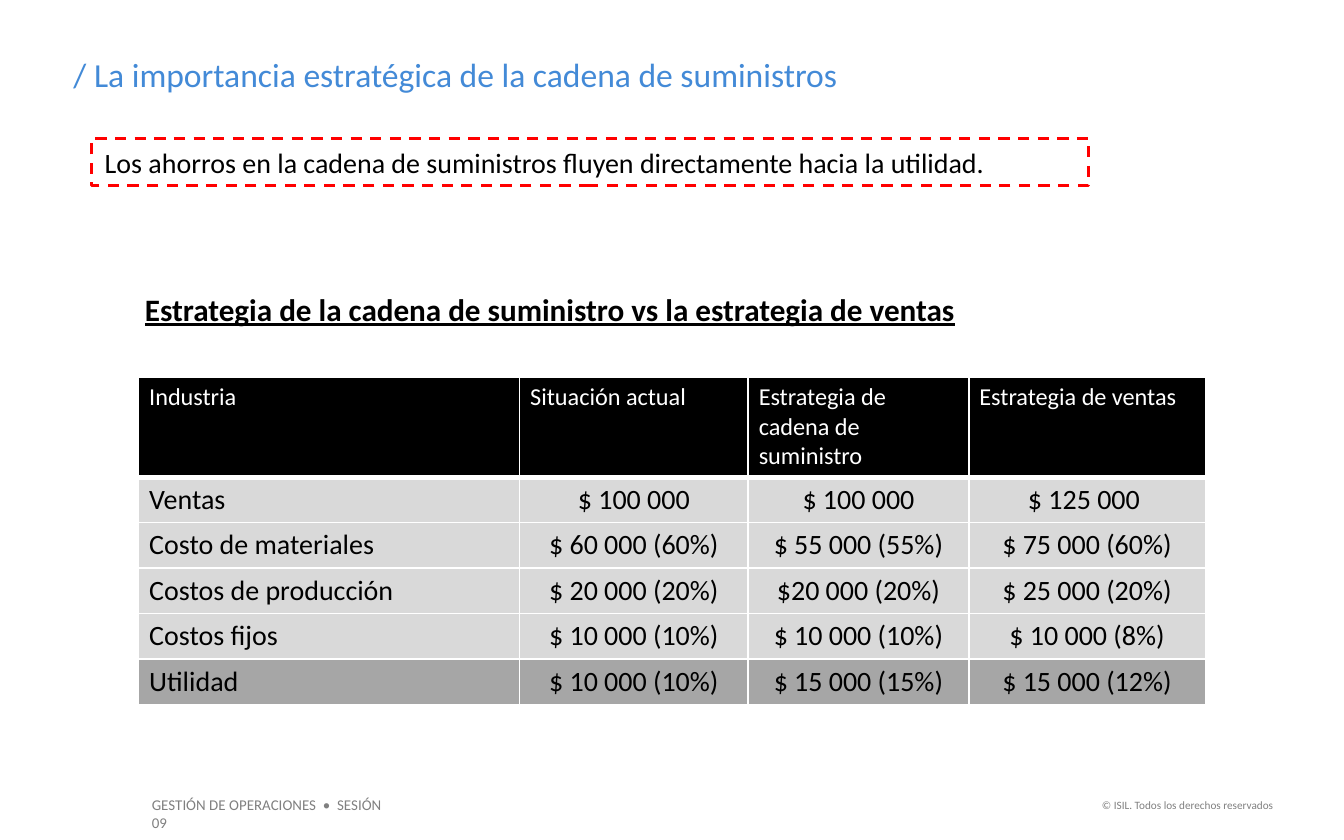
from lxml import etree
from pptx import Presentation
from pptx.dml.color import RGBColor
from pptx.enum.dml import MSO_LINE
from pptx.enum.shapes import MSO_SHAPE
from pptx.enum.text import MSO_ANCHOR, PP_ALIGN
from pptx.oxml.ns import qn
from pptx.util import Cm, Pt

LEFT, CENTER, RIGHT = PP_ALIGN.LEFT, PP_ALIGN.CENTER, PP_ALIGN.RIGHT
TOP, MIDDLE = MSO_ANCHOR.TOP, MSO_ANCHOR.MIDDLE
RECTANGLE, DASH = MSO_SHAPE.RECTANGLE, MSO_LINE.DASH

FONT = "Calibri"
BLACK, WHITE, GRAY, BLUE, RED = "000000", "FFFFFF", "808080", "438AD7", "FF0000"
LIGHT_ROW, PROFIT_ROW = "D9D9D9", "A6A6A6"

LABELS = [
    ("GESTIÓN DE OPERACIONES  •  SESIÓN 09", (2.62, 14.91, 5.1, 0.61), 8, GRAY, LEFT, False),
    ("© ISIL. Todos los derechos reservados", (20.4, 14.96, 3.91, 0.51), 6, GRAY, RIGHT, False),
    ("/ La importancia estratégica de la cadena de suministros",
     (1.14, 0.9, 20.02, 1.02), 18, BLUE, LEFT, False),
    ("Estrategia de la cadena de suministro vs la estrategia de ventas",
     (2.49, 5.36, 18.67, 0.97), 16.7, BLACK, LEFT, True),
]
MESSAGE = "Los ahorros en la cadena de suministros fluyen directamente hacia la utilidad."
MESSAGE_BOX = (1.73, 2.62, 18.85, 0.89)

STRATEGIES = [
    ("Industria", "Situación actual", "Estrategia de cadena de suministro", "Estrategia de ventas"),
    ("Ventas", "$ 100 000", "$ 100 000", "$ 125 000 "),
    ("Costo de materiales", "$ 60 000 (60%)", "$ 55 000 (55%)", "$ 75 000 (60%)"),
    ("Costos de producción", "$ 20 000 (20%)", "$20 000 (20%)", "$ 25 000 (20%)"),
    ("Costos fijos", "$ 10 000 (10%)", "$ 10 000 (10%)", "$ 10 000 (8%)"),
    ("Utilidad", "$ 10 000 (10%)", "$ 15 000 (15%)", "$ 15 000 (12%)"),
]
TABLE_LEFT, TABLE_TOP = 2.62, 7.13
COLUMN_WIDTHS = [7.2, 4.32, 4.17, 4.47]
HEADER_HEIGHT, ROW_HEIGHT = 1.89, 0.86


def rgb(color):
    return RGBColor.from_string(color)


def box(bounds):
    return [Cm(length) for length in bounds]


def write(frame, text, size, color, align=LEFT, strong=False):
    frame.word_wrap = True
    paragraph = frame.paragraphs[0]
    paragraph.text = text
    paragraph.alignment = align
    font = paragraph.font
    font.name, font.size, font.color.rgb = FONT, Pt(size), rgb(color)
    font.bold = font.underline = strong


def border(cell, side, points):
    properties = cell._tc.get_or_add_tcPr()
    line = etree.SubElement(properties, qn(f"a:ln{side}"), w=str(Pt(points)))
    fill = etree.SubElement(line, qn("a:solidFill"))
    etree.SubElement(fill, qn("a:srgbClr"), val=WHITE)


def add_message(slide):
    message = slide.shapes.add_shape(RECTANGLE, *box(MESSAGE_BOX))
    message.shadow.inherit = False
    message.fill.background()
    message.line.color.rgb = rgb(RED)
    message.line.width = Pt(1.5)
    message.line.dash_style = DASH
    message.text_frame.vertical_anchor = MIDDLE
    write(message.text_frame, MESSAGE, 15, BLACK)


def add_strategies(slide):
    heights = [HEADER_HEIGHT] + [ROW_HEIGHT] * (len(STRATEGIES) - 1)
    bounds = (TABLE_LEFT, TABLE_TOP, sum(COLUMN_WIDTHS), sum(heights))
    table = slide.shapes.add_table(len(heights), len(COLUMN_WIDTHS), *box(bounds)).table
    for column, width in zip(table.columns, COLUMN_WIDTHS):
        column.width = Cm(width)
    for row, height in zip(table.rows, heights):
        row.height = Cm(height)

    fills = [BLACK] + [LIGHT_ROW] * (len(heights) - 2) + [PROFIT_ROW]
    for r, (values, fill) in enumerate(zip(STRATEGIES, fills)):
        header = r == 0
        for c, value in enumerate(values):
            cell = table.cell(r, c)
            cell.margin_left = cell.margin_right = Cm(0.2)
            cell.margin_top = cell.margin_bottom = Cm(0.1)
            for side in "LRTB":
                border(cell, side, 3 if header and side == "B" else 1)
            cell.fill.solid()
            cell.fill.fore_color.rgb = rgb(fill)
            write(cell.text_frame, value, 13 if header else 15, WHITE if header else BLACK,
                  LEFT if header or c == 0 else CENTER)


def main():
    deck = Presentation()
    deck.slide_width, deck.slide_height = Cm(25.4), Cm(15.88)
    slide = deck.slides.add_slide(deck.slide_layouts[6])
    for text, bounds, size, color, align, strong in LABELS:
        label = slide.shapes.add_textbox(*box(bounds)).text_frame
        label.vertical_anchor = TOP
        write(label, text, size, color, align, strong)
    add_strategies(slide)
    add_message(slide)
    deck.save("out.pptx")


if __name__ == "__main__":
    main()
